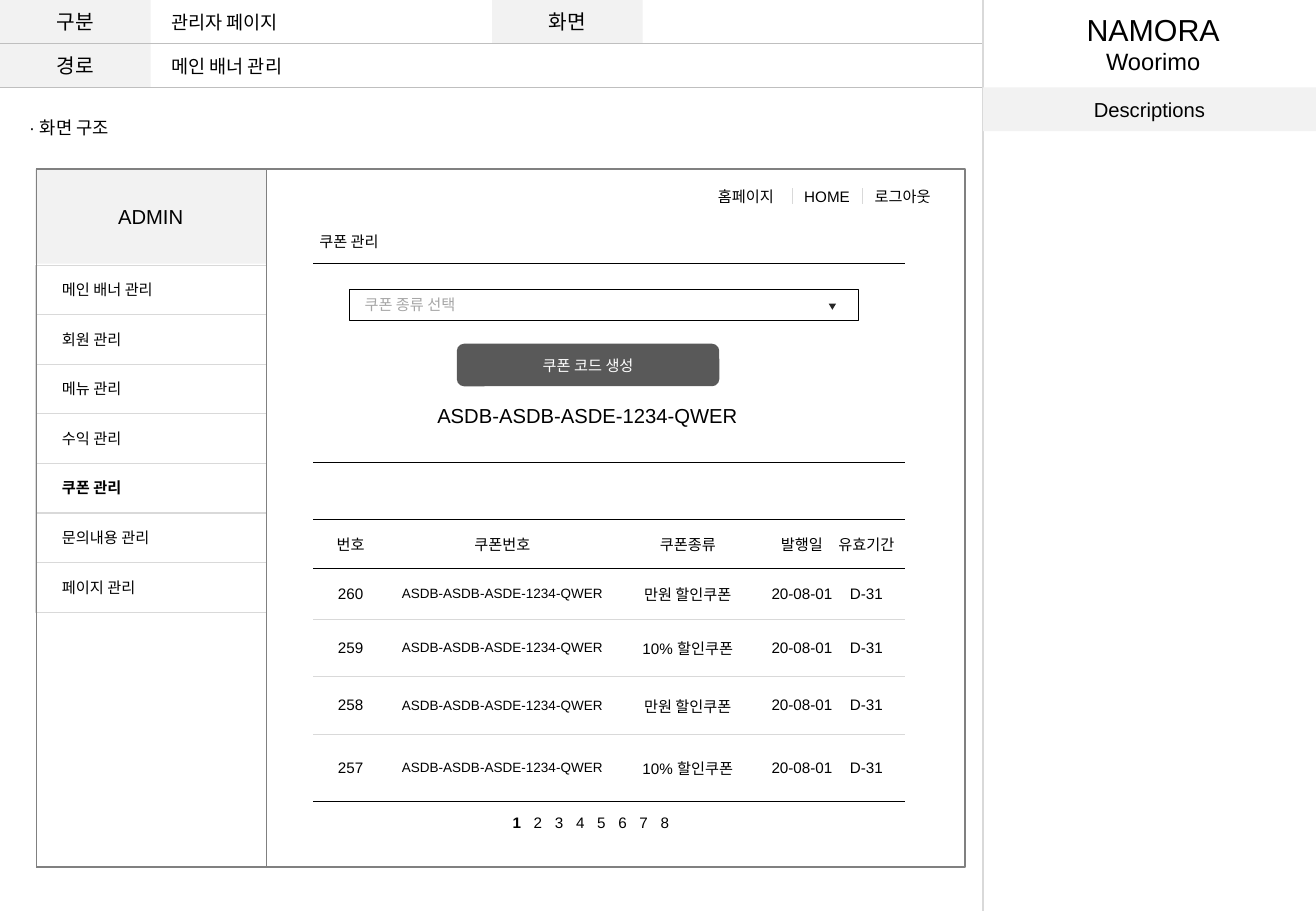
from lxml import etree
from pptx import Presentation
from pptx.dml.color import RGBColor
from pptx.enum.shapes import MSO_CONNECTOR, MSO_SHAPE
from pptx.enum.text import MSO_ANCHOR, MSO_AUTO_SIZE, PP_ALIGN
from pptx.oxml.ns import qn
from pptx.util import Inches, Pt

RECT, ROUND = MSO_SHAPE.RECTANGLE, MSO_SHAPE.ROUNDED_RECTANGLE
TRI = MSO_SHAPE.ISOSCELES_TRIANGLE
LEFT, MID = PP_ALIGN.LEFT, PP_ALIGN.CENTER
FONT = "Arial"
BLACK, WHITE, PALE, RULE, GREY = "000000", "FFFFFF", "F2F2F2", "D9D9D9", "808080"
W, H = 10.83, 7.5
SIDE = 8.09             # left edge of the description column
BAR = 0.36              # height of one header row
X1, X2 = 2.58, 7.45     # span of the main content

# Content
TITLE = "· 화면 구조"
TAGS = [(0, 0, "구분"), (4.05, 0, "화면"), (0, 1, "경로")]  # left, row, text
INFO = ["관리자 페이지", "메인 배너 관리"]
BRAND = [("NAMORA", 18), ("Woorimo", 14)]
LINKS = [(5.81, 0.71, "홈페이지"), (6.52, 0.58, "HOME"), (7.1, 0.71, "로그아웃")]
MENU = ["메인 배너 관리", "회원 관리", "메뉴 관리", "수익 관리",
        "쿠폰 관리", "문의내용 관리", "페이지 관리"]
PAGE = "쿠폰 관리"
CODE = "ASDB-ASDB-ASDE-1234-QWER"
HEAD = ["번호", "쿠폰번호", "쿠폰종류", "발행일", "유효기간"]
ROWS = [
    ["260", CODE, "만원 할인쿠폰", "20-08-01", "D-31"],
    ["259", CODE, "10% 할인쿠폰", "20-08-01", "D-31"],
    ["258", CODE, "만원 할인쿠폰", "20-08-01", "D-31"],
    ["257", CODE, "10% 할인쿠폰", "20-08-01", "D-31"],
]
COL_X = [X1, 3.19, 5.08, 6.24, 6.87, X2]
ROW_Y = [4.28, 4.68, 5.1, 5.57, 6.05, 6.6]
EDGES = [BLACK, BLACK, RULE, RULE, RULE, BLACK]
PADS = [(0, 0), (0, 0), (0, 0), (0.09, 0), (0, 0.06)]  # left, right
PAGES = 8

prs = Presentation()
prs.slide_width, prs.slide_height = Inches(W), Inches(H)
slide = prs.slides.add_slide(prs.slide_layouts[5])
shapes = slide.shapes


def rgb(code):
    return RGBColor.from_string(code)


def style(para, size, color=BLACK, align=LEFT, bold=False):
    para.alignment = align
    for run in para.runs:
        font = run.font
        font.name, font.size, font.bold = FONT, Pt(size), bold
        font.color.rgb = rgb(color)


def box(x, y, w, h, fill=None, line=None, width=0.25, kind=RECT):
    shape = shapes.add_shape(kind, Inches(x), Inches(y), Inches(w), Inches(h))
    shape.shadow.inherit = False
    if fill:
        shape.fill.solid()
        shape.fill.fore_color.rgb = rgb(fill)
    else:
        shape.fill.background()
    if line:
        shape.line.color.rgb = rgb(line)
        shape.line.width = Pt(width)
    else:
        shape.line.fill.background()
    return shape


def label(shape, text, size, color=BLACK, align=MID, bold=False, pad=0.1):
    frame = shape.text_frame
    frame.text = text
    frame.vertical_anchor = MSO_ANCHOR.MIDDLE
    frame.margin_left = Inches(pad)
    style(frame.paragraphs[0], size, color, align, bold)


def note(x, y, w, h, text, size, align=LEFT):
    frame = shapes.add_textbox(Inches(x), Inches(y), Inches(w), Inches(h)).text_frame
    frame.word_wrap = False
    frame.auto_size = MSO_AUTO_SIZE.SHAPE_TO_FIT_TEXT
    frame.text = text
    for para in frame.paragraphs:
        style(para, size, align=align)
    return frame


def rule(x1, y1, x2, y2, color):
    line = shapes.add_connector(MSO_CONNECTOR.STRAIGHT, Inches(x1), Inches(y1),
                                Inches(x2), Inches(y2))
    line.line.color.rgb = rgb(color)
    line.line.width = Pt(0.75)
    etree.SubElement(line._element.spPr, qn("a:effectLst"))


def edge(cell, side, color=None):
    line = etree.SubElement(cell._tc.get_or_add_tcPr(), qn("a:ln" + side))
    line.set("w", str(Pt(0.75)))
    if color:
        fill = etree.SubElement(line, qn("a:solidFill"))
        etree.SubElement(fill, qn("a:srgbClr")).set("val", color)
    else:
        etree.SubElement(line, qn("a:noFill"))


# Title
title = shapes.title
title.left, title.top = Inches(0.14), Inches(0.91)
title.width, title.height = Inches(0.95), Inches(0.29)
frame = title.text_frame
frame.text = TITLE
frame.word_wrap = False
frame.auto_size = MSO_AUTO_SIZE.NONE
frame.vertical_anchor = MSO_ANCHOR.TOP
style(frame.paragraphs[0], 10.5)

# Header bar and description column
for x, row, text in TAGS:
    label(box(x, row * BAR, 1.24, BAR, PALE), text, 12)
for row, text in enumerate(INFO):
    note(1.31, 0.04 + row * BAR, 1.2, 0.29, text, 11)
    rule(0, (row + 1) * BAR, SIDE, (row + 1) * BAR, "BFBFBF")
rule(SIDE, 0, SIDE, H, RULE)
label(box(SIDE, 2 * BAR, W - SIDE, BAR, PALE), "Descriptions", 12)
frame = note(8.83, 0.04, 1.32, 0.64, "\n".join(n for n, _ in BRAND), 18, MID)
for para, (_, size) in zip(frame.paragraphs, BRAND):
    style(para, size, align=MID)

# Side menu and window frame
label(box(0.29, 1.39, 1.9, 0.78, PALE), "ADMIN", 12)
for i, text in enumerate(MENU):
    item = box(0.29, 2.18 + i * 0.408, 1.9, 0.41, line=RULE)
    label(item, text, 9, align=LEFT, bold=text == PAGE, pad=0.22)
box(0.3, 1.39, 7.64, 5.75, line=GREY, width=1)
box(0.3, 1.39, 1.89, 5.75, line=GREY, width=0.5)

# Top links
for i, (x, w, text) in enumerate(LINKS):
    note(x, 1.49, w, 0.25, text, 9)
    if i:
        rule(x, 1.55, x, 1.68, RULE)

# Coupon form
note(2.53, 1.86, 0.74, 0.25, PAGE, 9)
for y in (2.17, 3.81):
    rule(X1, y, X2, y, BLACK)
label(box(2.87, 2.38, 4.19, 0.26, line=BLACK), "쿠폰 종류 선택", 9, "A6A6A6", LEFT, pad=0.13)
box(6.82, 2.5, 0.06, 0.05, "262626", kind=TRI).rotation = 180
label(box(3.76, 2.83, 2.16, 0.35, "595959", kind=ROUND), "쿠폰 코드 생성", 9, WHITE)
note(3.5, 3.27, 2.69, 0.3, CODE, 12)

# Coupon table
data = [HEAD] + ROWS
table = shapes.add_table(len(data), len(HEAD), Inches(X1), Inches(ROW_Y[0]),
                         Inches(X2 - X1), Inches(ROW_Y[-1] - ROW_Y[0])).table
table.first_row = table.horz_banding = False
for c, col in enumerate(table.columns):
    col.width = Inches(COL_X[c + 1] - COL_X[c])
for r, row in enumerate(table.rows):
    row.height = Inches(ROW_Y[r + 1] - ROW_Y[r])
    for c, cell in enumerate(row.cells):
        cell.text = data[r][c]
        cell.vertical_anchor = MSO_ANCHOR.MIDDLE
        cell.margin_left, cell.margin_right = map(Inches, PADS[c])
        style(cell.text_frame.paragraphs[0], 8 if data[r][c] == CODE else 9, align=MID)
        for side, color in zip("LRTB", (None, None, EDGES[r], EDGES[r + 1])):
            edge(cell, side, color)
        cell.fill.background()

# Page numbers on even tab stops
frame = note(4.12, 6.65, 1.5, 0.25, "1", 9)
para = frame.paragraphs[0]
para.add_run().text = "".join(f"\t{n}" for n in range(2, PAGES + 1))
style(para, 9)
para.runs[0].font.bold = True
tabs = etree.SubElement(para._p.get_or_add_pPr(), qn("a:tabLst"))
for n in range(1, PAGES):
    stop = etree.SubElement(tabs, qn("a:tab"))
    stop.set("pos", str(Inches(n * 0.174)))
    stop.set("algn", "l")

prs.save("out.pptx")
